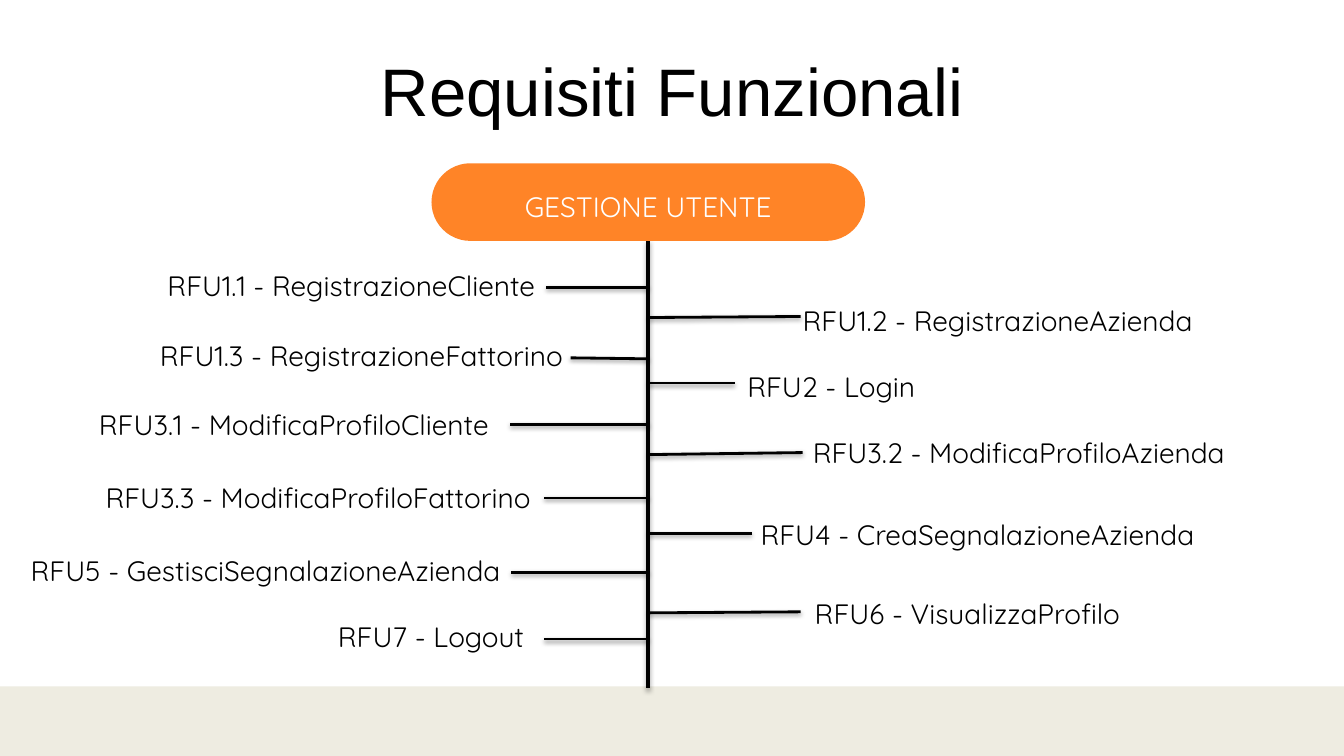
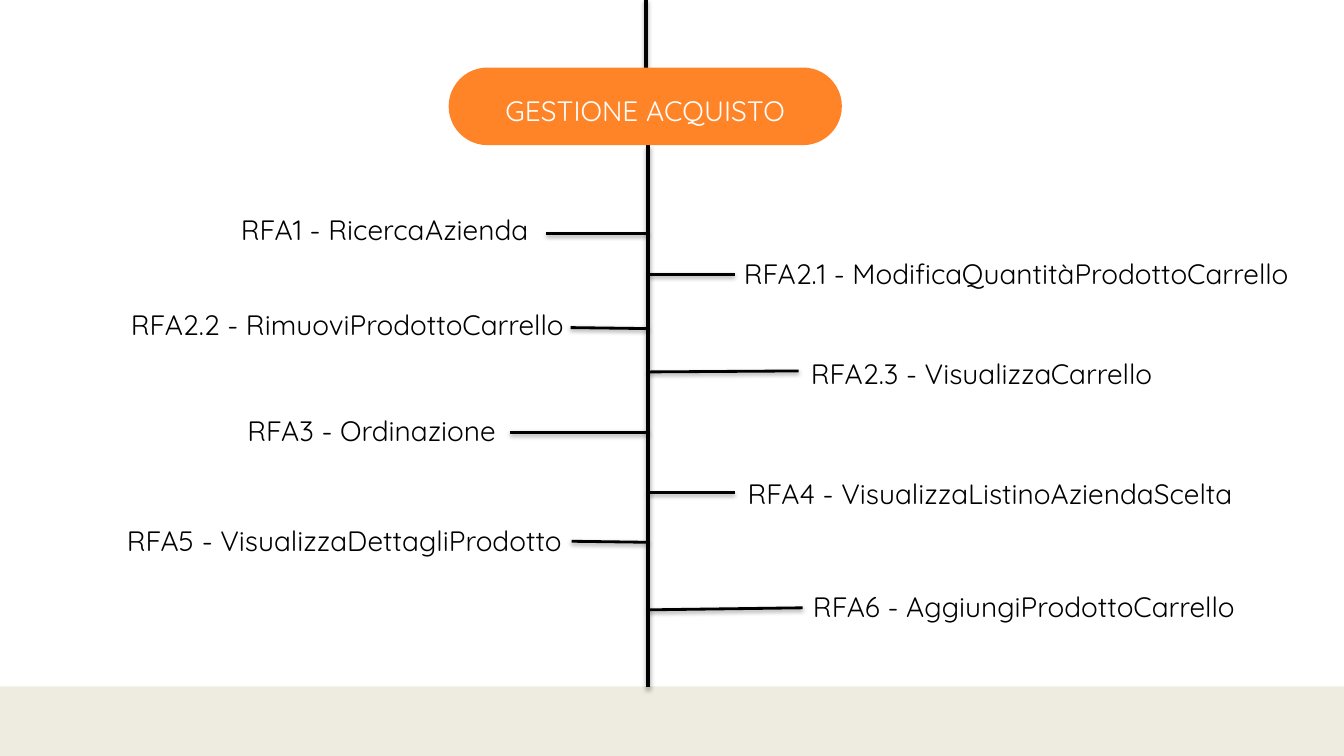
"""Builds two slides that show functional requirements as branching trees."""
import dataclasses

import lxml.etree
import pptx
import pptx.dml.color
import pptx.enum.shapes
import pptx.enum.text
import pptx.oxml.ns
import pptx.util

Inches = pptx.util.Inches
Pt = pptx.util.Pt


@dataclasses.dataclass(frozen=True)
class Theme:
    black: str = "000000"
    white: str = "FFFFFF"
    orange: str = "FF8427"
    sand: str = "EEECE1"
    title_font: str = "Arial"
    body_font: str = "Quicksand"
    title_size: int = 48
    body_size: int = 20
    trunk_width: int = 3
    branch_width: int = 2


theme = Theme()
rgb = pptx.dml.color.RGBColor.from_string


def write_text(shape, text, font=theme.body_font, size=theme.body_size,
               color=theme.black, top_inset=0.1, bottom_inset=0.1):
    frame = shape.text_frame
    frame.word_wrap = True
    frame.auto_size = pptx.enum.text.MSO_AUTO_SIZE.NONE
    frame.vertical_anchor = pptx.enum.text.MSO_ANCHOR.MIDDLE
    frame.margin_left = frame.margin_right = Inches(0.1)
    frame.margin_top, frame.margin_bottom = Inches(top_inset), Inches(bottom_inset)
    paragraph = frame.paragraphs[0]
    paragraph.alignment = pptx.enum.text.PP_ALIGN.CENTER
    run = paragraph.add_run()
    run.text = text
    run.font.name = font
    run.font.size = Pt(size)
    run.font.color.rgb = rgb(color)


def draw_line(slide, start, end, width, shadow_distance, shadow_alpha):
    line = slide.shapes.add_connector(
        pptx.enum.shapes.MSO_CONNECTOR.STRAIGHT,
        *(Inches(value) for value in (*start, *end)))
    line.line.color.rgb = rgb(theme.black)
    line.line.width = Pt(width)
    qn = pptx.oxml.ns.qn
    properties = line.element.find(qn("p:spPr"))
    effects = lxml.etree.SubElement(properties, qn("a:effectLst"))
    shadow = lxml.etree.SubElement(
        effects, qn("a:outerShdw"), blurRad="40000", dist=str(shadow_distance),
        dir="5400000", rotWithShape="0")
    color = lxml.etree.SubElement(shadow, qn("a:srgbClr"), val=theme.black)
    lxml.etree.SubElement(color, qn("a:alpha"), val=str(shadow_alpha * 1000))


trunk_x = 6.43
label_height = 1.23
pill_height = 0.77
band_top = 6.81
trunk_style = {"width": theme.trunk_width, "shadow_distance": 23000, "shadow_alpha": 35}
branch_style = {"width": theme.branch_width, "shadow_distance": 20000, "shadow_alpha": 38}

# fmt: off
trees = [
    {
        "title": "Requisiti Funzionali",
        "group": "GESTIONE UTENTE",
        "pill": (4.28, 1.62, 4.3),
        "trunks": [((trunk_x, 2.39), (trunk_x, 6.83))],
        "branches": [
            ("RFU1.1 - RegistrazioneCliente", (1.09, 2.22, 4.79), (5.42, 2.85), 2.85),
            ("RFU1.2 - RegistrazioneAzienda", (7.5, 2.56, 4.79), (7.94, 3.14), 3.15),
            ("RFU1.3 - RegistrazioneFattorino", (1.19, 2.91, 4.79), (5.66, 3.55), 3.56),
            ("RFU2 - Login", (5.85, 3.22, 4.79), (7.29, 3.8), 3.8),
            ("RFU3.1 - ModificaProfiloCliente", (0.52, 3.59, 4.79), (5.06, 4.21), 4.21),
            ("RFU3.2 - ModificaProfiloAzienda", (7.71, 3.87, 4.79), (7.96, 4.49), 4.51),
            ("RFU3.3 - ModificaProfiloFattorino", (0.76, 4.32, 4.79), (5.4, 4.94), 4.94),
            ("RFU4 - CreaSegnalazioneAzienda", (7.3, 4.69, 4.79), (7.46, 5.29), 5.29),
            ("RFU5 - GestisciSegnalazioneAzienda", (0.01, 5.04, 5.25), (5.07, 5.68), 5.68),
            ("RFU6 - VisualizzaProfilo", (7.2, 5.47, 4.79), (7.94, 6.07), 6.08),
            ("RFU7 - Logout", (1.88, 5.7, 4.79), (5.4, 6.34), 6.34),
        ],
    },
    {
        "title": None,
        "group": "GESTIONE ACQUISTO",
        "pill": (4.45, 0.67, 3.9),
        "trunks": [((6.41, 0), (6.41, 0.68)), ((trunk_x, 1.44), (trunk_x, 6.82))],
        "branches": [
            ("RFA1 - RicercaAzienda", (1.42, 1.66, 4.79), (5.42, 2.32), 2.32),
            ("RFA2.1 - ModificaQuantitàProdottoCarrello", (7.18, 2.1, 5.8), (7.29, 2.72), 2.72),
            ("RFA2.2 - RimuoviProdottoCarrello", (1.05, 2.6, 4.79), (5.66, 3.25), 3.26),
            ("RFA2.3 - VisualizzaCarrello", (7.34, 3.09, 4.79), (7.92, 3.68), 3.69),
            ("RFA3 - Ordinazione", (1.29, 3.65, 4.79), (5.06, 4.29), 4.29),
            ("RFA4 - VisualizzaListinoAziendaScelta", (7.13, 4.28, 5.38), (7.29, 4.89), 4.89),
            ("RFA5 - VisualizzaDettagliProdotto", (1.02, 4.75, 4.79), (5.67, 5.37), 5.38),
            ("RFA6 - AggiungiProdottoCarrello", (7.76, 5.4, 4.79), (7.96, 6.03), 6.05),
        ],
    },
]
# fmt: on

presentation = pptx.Presentation()
presentation.slide_width = Inches(13.33)
presentation.slide_height = Inches(7.5)
title_layout = presentation.slide_layouts.get_by_name("Title Only")
blank_layout = presentation.slide_layouts.get_by_name("Blank")
master = presentation.slide_master
master.background.fill.solid()
master.background.fill.fore_color.rgb = rgb(theme.white)

for tree in trees:
    slide = presentation.slides.add_slide(title_layout if tree["title"] else blank_layout)
    if tree["title"]:
        title = slide.shapes.title
        title.left, title.top = Inches(1.05), Inches(0.27)
        title.width, title.height = Inches(11.23), Inches(1.23)
        write_text(title, tree["title"], font=theme.title_font, size=theme.title_size)

    for start, end in tree["trunks"]:
        draw_line(slide, start, end, **trunk_style)

    left, top, width = tree["pill"]
    pill = slide.shapes.add_shape(
        pptx.enum.shapes.MSO_SHAPE.ROUNDED_RECTANGLE,
        Inches(left), Inches(top), Inches(width), Inches(pill_height))
    pill.adjustments[0] = 0.5
    pill.shadow.inherit = False
    pill.fill.solid()
    pill.fill.fore_color.rgb = rgb(theme.orange)
    pill.line.fill.background()
    write_text(pill, tree["group"], color=theme.white, top_inset=0.08, bottom_inset=0)

    for text, (left, top, width), tip, joint_y in tree["branches"]:
        draw_line(slide, tip, (trunk_x, joint_y), **branch_style)
        label = slide.shapes.add_textbox(
            Inches(left), Inches(top), Inches(width), Inches(label_height))
        write_text(label, text)

band = presentation.slides[0].shapes.add_shape(
    pptx.enum.shapes.MSO_SHAPE.RECTANGLE,
    0, Inches(band_top), presentation.slide_width,
    presentation.slide_height - Inches(band_top))
band.shadow.inherit = False
band.fill.solid()
band.fill.fore_color.rgb = rgb(theme.sand)
band.line.fill.background()
master.shapes.element.insert(2, band.element)

presentation.save("out.pptx")
